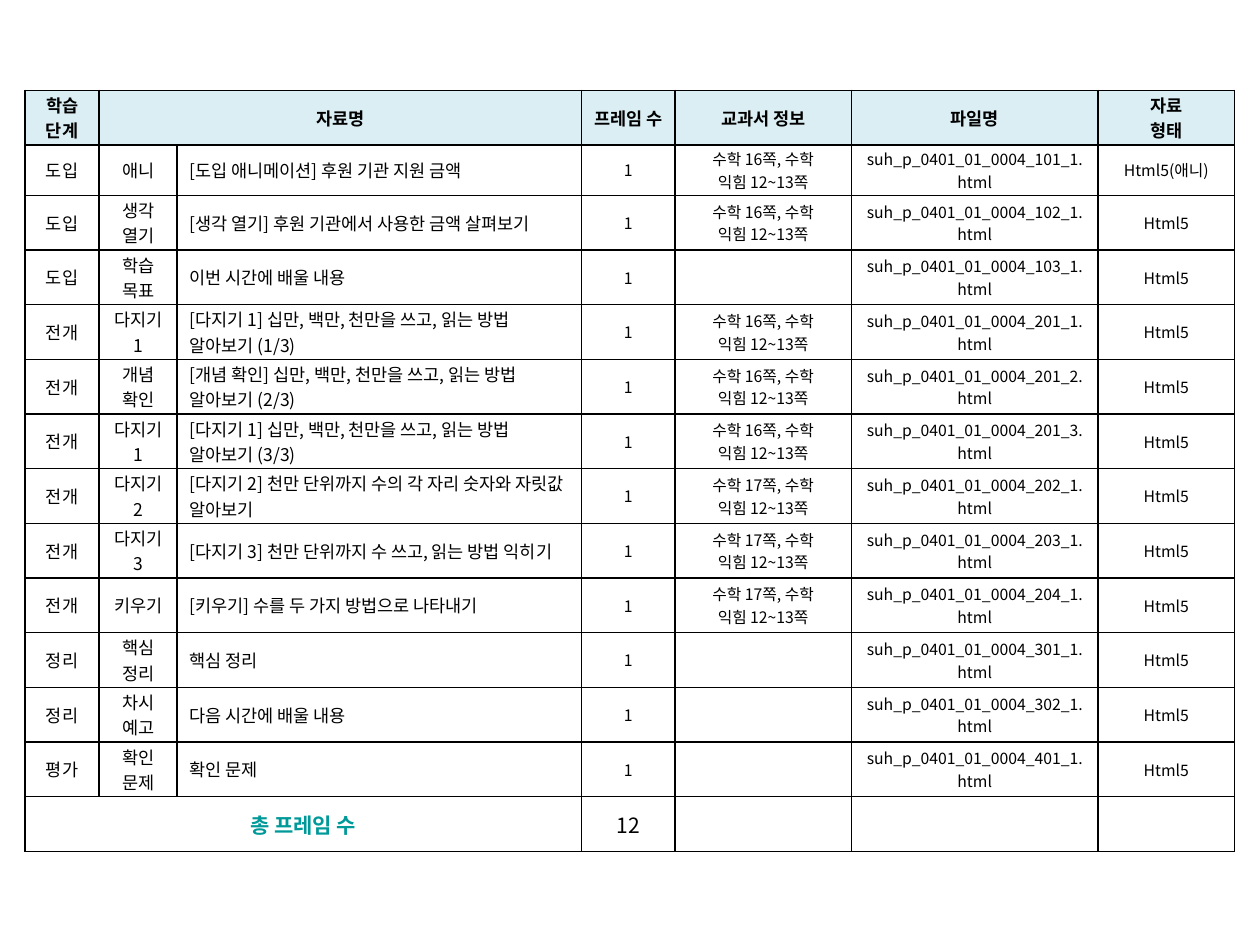
from lxml.etree import SubElement
from pptx import Presentation
from pptx.dml.color import RGBColor
from pptx.enum.text import MSO_ANCHOR as Anchor, PP_ALIGN as Align
from pptx.oxml.ns import qn
from pptx.util import Pt

BLACK = RGBColor(0, 0, 0)
TEAL = RGBColor(0x00, 0x99, 0x99)
PALE_BLUE = RGBColor(0xDB, 0xEE, 0xF4)
FONT = "Noto Sans CJK KR"

COLUMN_WIDTHS = [42.5, 44.6, 231.1, 53.3, 100.8, 141.1, 77.8]
ROW_HEIGHT = 31.24
FIRST_LESSON_HEIGHT = 28.8
TEXTBOOK_COLUMN = 4
TITLE_COLUMN = 2

HEADINGS = ["학습 단계", "자료명", "", "프레임 수", "교과서 정보", "파일명", "자료\n형태"]
LESSONS = [
    ("도입", "애니", "[도입 애니메이션] 후원 기관 지원 금액", 16, "101_1"),
    ("도입", "생각 열기", "[생각 열기] 후원 기관에서 사용한 금액 살펴보기", 16, "102_1"),
    ("도입", "학습 목표", "이번 시간에 배울 내용", None, "103_1"),
    ("전개", "다지기 1", "[다지기 1] 십만, 백만, 천만을 쓰고, 읽는 방법 알아보기 (1/3)", 16, "201_1"),
    ("전개", "개념 확인", "[개념 확인] 십만, 백만, 천만을 쓰고, 읽는 방법 알아보기 (2/3)", 16, "201_2"),
    ("전개", "다지기 1", "[다지기 1] 십만, 백만, 천만을 쓰고, 읽는 방법 알아보기 (3/3)", 16, "201_3"),
    ("전개", "다지기 2", "[다지기 2] 천만 단위까지 수의 각 자리 숫자와 자릿값 알아보기", 17, "202_1"),
    ("전개", "다지기 3", "[다지기 3] 천만 단위까지 수 쓰고, 읽는 방법 익히기", 17, "203_1"),
    ("전개", "키우기", "[키우기] 수를 두 가지 방법으로 나타내기", 17, "204_1"),
    ("정리", "핵심 정리", "핵심 정리", None, "301_1"),
    ("정리", "차시 예고", "다음 시간에 배울 내용", None, "302_1"),
    ("평가", "확인 문제", "확인 문제", None, "401_1"),
]


def draw_borders(cell):
    properties = cell._tc.get_or_add_tcPr()
    for side in ("a:lnL", "a:lnR", "a:lnT", "a:lnB"):
        line = SubElement(properties, qn(side), w=str(Pt(1)))
        fill = SubElement(line, qn("a:solidFill"))
        SubElement(fill, qn("a:srgbClr"), val=str(BLACK))


def style_cell(cell, fill=None, side_margin=7.2):
    draw_borders(cell)
    if fill is None:
        cell.fill.background()
    else:
        cell.fill.solid()
        cell.fill.fore_color.rgb = fill
    cell.vertical_anchor = Anchor.MIDDLE
    cell.margin_left = cell.margin_right = Pt(side_margin)
    cell.margin_top = cell.margin_bottom = Pt(1)


def write_cell(cell, text, size, bold=False, color=BLACK, align=Align.CENTER):
    if not text:
        return
    cell.text_frame.text = text
    for paragraph in cell.text_frame.paragraphs:
        paragraph.alignment = align
        for run in paragraph.runs:
            run.font.size = Pt(size)
            run.font.bold = bold
            run.font.color.rgb = color
            run.font.name = FONT
            SubElement(run._r.get_or_add_rPr(), qn("a:ea"), typeface=FONT)


def lesson_texts(index, lesson):
    stage, activity, title, page, file_number = lesson
    textbook = f"수학 {page}쪽, 수학 익힘 12~13쪽" if page else ""
    media = "Html5" if index else "Html5(애니)"
    return [stage, activity, title, "1", textbook,
            f"suh_p_0401_01_0004_{file_number}.html", media]


def add_lesson_table(slide, left, top, width, height):
    row_count = len(LESSONS) + 2
    table = slide.shapes.add_table(
        row_count, len(COLUMN_WIDTHS), left, top, width, height).table
    table.horz_banding = False
    for column, column_width in zip(table.columns, COLUMN_WIDTHS):
        column.width = Pt(column_width)
    for index, row in enumerate(table.rows):
        row.height = Pt(FIRST_LESSON_HEIGHT if index == 1 else ROW_HEIGHT)
        for column, cell in enumerate(row.cells):
            style_cell(cell, PALE_BLUE if index == 0 else None,
                       13 if index and column == TEXTBOOK_COLUMN else 7.2)

    for column, heading in enumerate(HEADINGS):
        write_cell(table.cell(0, column), heading, 10, bold=True)
    table.cell(0, 1).merge(table.cell(0, 2))

    for index, lesson in enumerate(LESSONS):
        for column, text in enumerate(lesson_texts(index, lesson)):
            write_cell(table.cell(index + 1, column), text,
                       10 if column <= TITLE_COLUMN else 9,
                       align=Align.LEFT if column == TITLE_COLUMN else Align.CENTER)

    total = row_count - 1
    write_cell(table.cell(total, 0), "총 프레임 수", 12, bold=True, color=TEAL)
    write_cell(table.cell(total, 3), str(len(LESSONS)), 12)
    table.cell(total, 0).merge(table.cell(total, 2))


def main():
    deck = Presentation()
    deck.slide_width, deck.slide_height = Pt(720), Pt(540)
    slide = deck.slides.add_slide(deck.slide_layouts[6])
    table_height = ROW_HEIGHT * (len(LESSONS) + 1) + FIRST_LESSON_HEIGHT
    add_lesson_table(slide, Pt(14.2), Pt(51.6), Pt(sum(COLUMN_WIDTHS)), Pt(table_height))
    deck.save("out.pptx")


if __name__ == "__main__":
    main()
